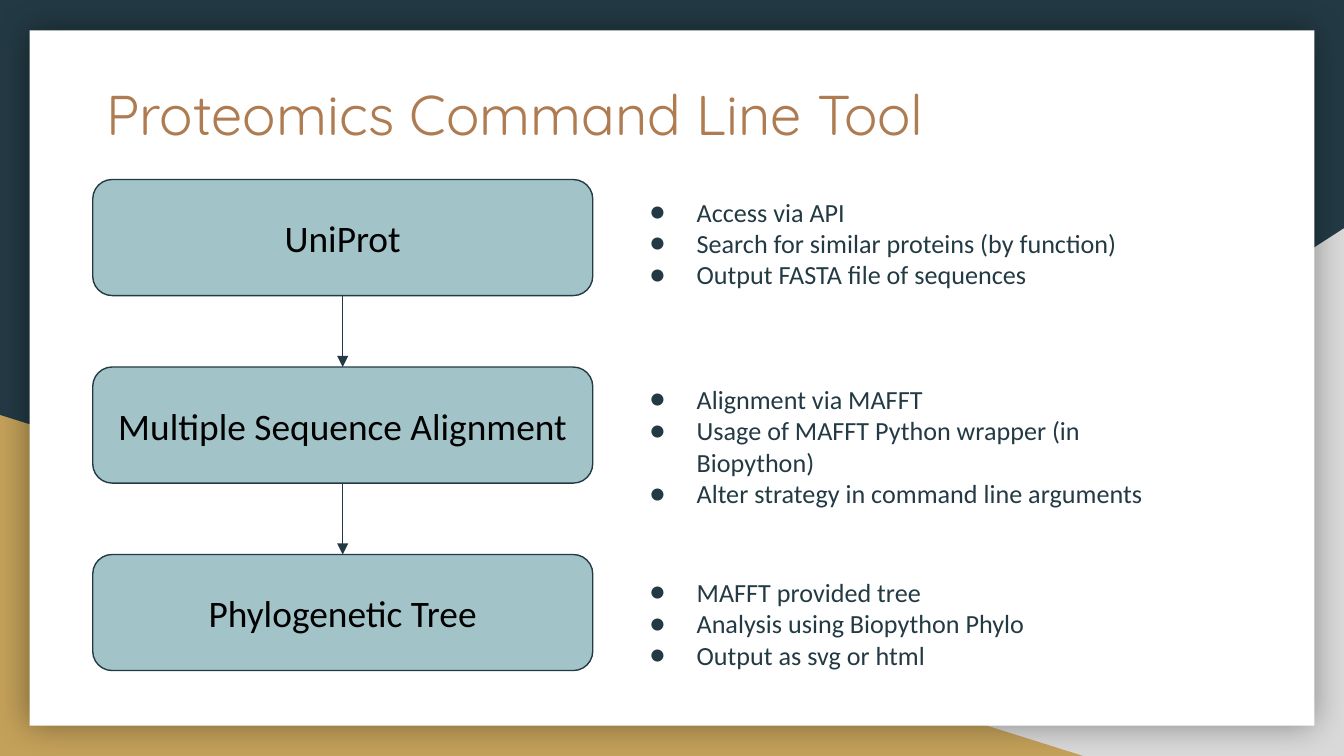
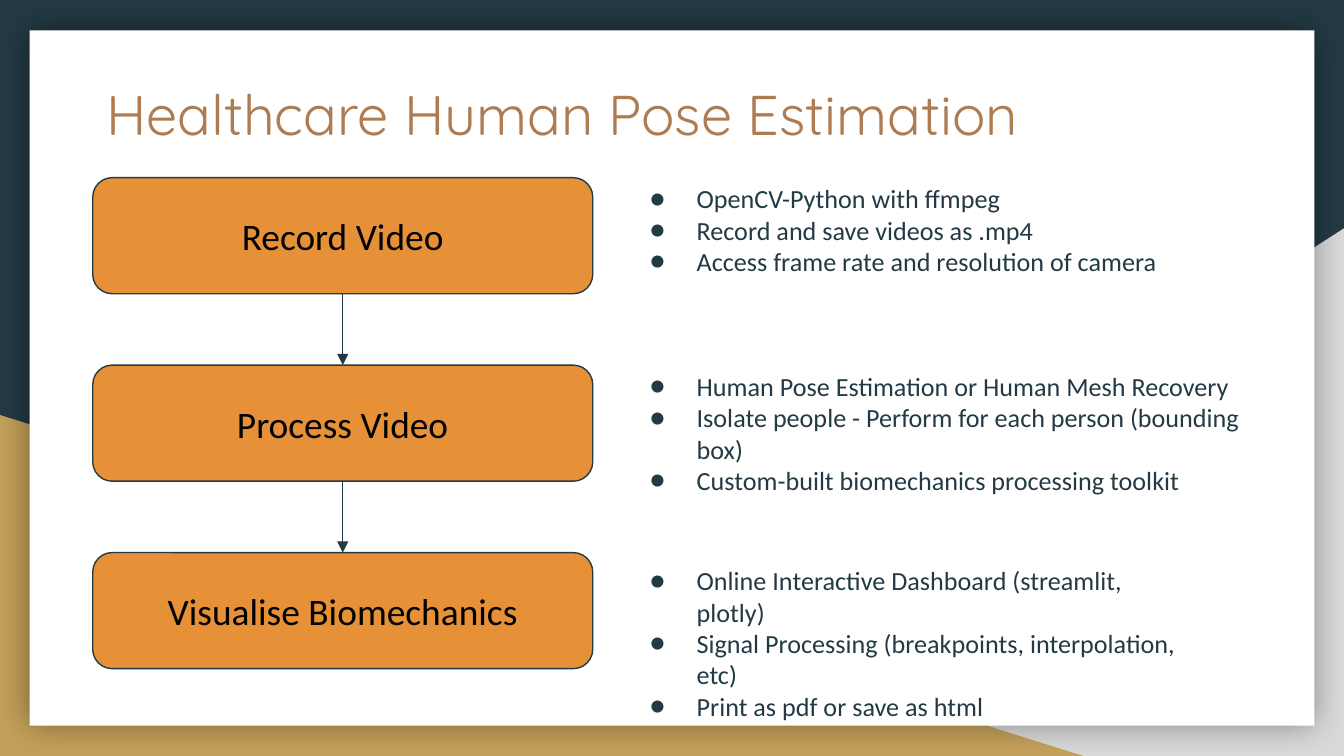
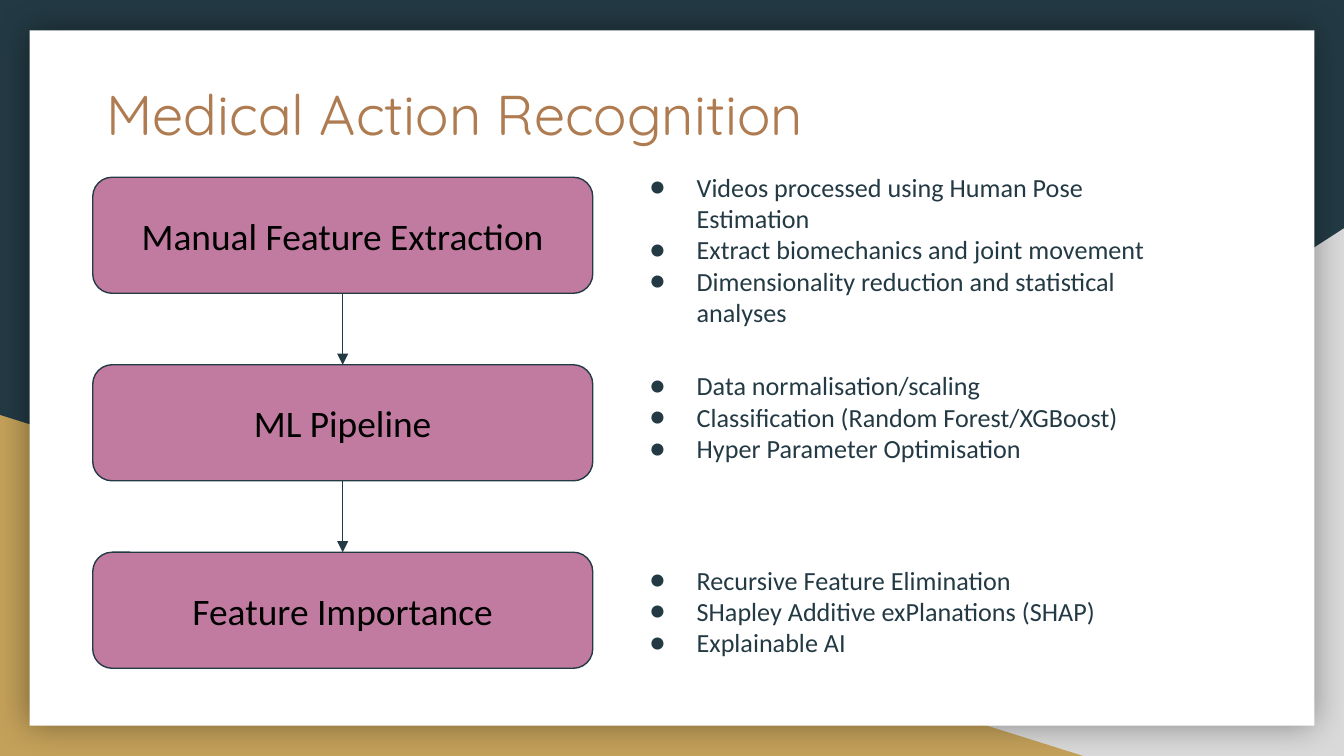
from lxml.etree import SubElement
from pptx import Presentation
from pptx.dml.color import RGBColor
from pptx.enum.shapes import MSO_CONNECTOR, MSO_SHAPE
from pptx.enum.text import MSO_ANCHOR, MSO_AUTO_SIZE, PP_ALIGN
from pptx.oxml.ns import qn
from pptx.util import Inches, Pt

WIDTH, HEIGHT = Inches(10), Inches(5.625)
COLORS = {
    "ink": "233A44", "gold": "C4A15A", "grey": "D9D9D9", "paper": "FFFFFF",
    "title": "AF7B51", "label": "000000",
    "teal": "A2C4C9", "orange": "E69138", "mauve": "C27BA0",
}
BODY_FONT, TITLE_FONT = "Calibri", "Quicksand"
BOX_LEFT, BOX_WIDTH, BOX_HEIGHT = 6.9, 37.2, 15.35
STEP_PITCH, NOTE_LEFT = 24.8, 45.85

FLOWS = [
    ("Proteomics Command Line Tool", "teal", 23.75, [
        ("UniProt", 0.4, 42.9, [
            "Access via API",
            "Search for similar proteins (by function)",
            "Output FASTA file of sequences"]),
        ("Multiple Sequence Alignment", 0.4, 42.9, [
            "Alignment via MAFFT",
            "Usage of MAFFT Python wrapper (in Biopython)",
            "Alter strategy in command line arguments"]),
        ("Phylogenetic Tree", 1.1, 42.9, [
            "MAFFT provided tree",
            "Analysis using Biopython Phylo",
            "Output as svg or html"])]),
    ("Healthcare Human Pose Estimation", "orange", 23.5, [
        ("Record Video", -1.1, 42.9, [
            "OpenCV-Python with ffmpeg",
            "Record and save videos as .mp4",
            "Access frame rate and resolution of camera"]),
        ("Process Video", -1.1, 49.5, [
            "Human Pose Estimation or Human Mesh Recovery",
            "Isolate people - Perform for each person (bounding box)",
            "Custom-built biomechanics processing toolkit"]),
        ("Visualise Biomechanics", -0.2, 44.1, [
            "Online Interactive Dashboard (streamlit, plotly)",
            "Signal Processing (breakpoints, interpolation, etc)",
            "Print as pdf or save as html"])]),
    ("Medical Action Recognition", "mauve", 23.45, [
        ("Manual Feature Extraction", -2.6, 42.9, [
            "Videos processed using Human Pose Estimation",
            "Extract biomechanics and joint movement",
            "Dimensionality reduction and statistical analyses"]),
        ("ML Pipeline", -1.1, 49.5, [
            "Data normalisation/scaling",
            "Classification (Random Forest/XGBoost)",
            "Hyper Parameter Optimisation"]),
        ("Feature Importance", -0.2, 44.1, [
            "Recursive Feature Elimination",
            "SHapley Additive exPlanations (SHAP)",
            "Explainable AI"])]),
]


def rgb(name):
    """Return a palette colour."""
    return RGBColor.from_string(COLORS[name])


def area(left, top, width, height):
    """Turn percentages of the slide into a position and size."""
    return (int(WIDTH * left / 100), int(HEIGHT * top / 100),
            int(WIDTH * width / 100), int(HEIGHT * height / 100))


def style(paragraph, font_name, size, color):
    """Set the font of a paragraph."""
    font = paragraph.font
    font.name, font.size = font_name, Pt(size)
    font.color.rgb = rgb(color)


def prepare_frame(frame, anchor=MSO_ANCHOR.TOP):
    """Give a text frame wrapping, anchor and even insets."""
    frame.word_wrap = True
    frame.auto_size = MSO_AUTO_SIZE.NONE
    frame.vertical_anchor = anchor
    frame.margin_left = frame.margin_right = Inches(0.1)
    frame.margin_top = frame.margin_bottom = Inches(0.1)


def add_filled(slide, kind, bounds, color):
    """Add a plain preset shape without line or shadow."""
    shape = slide.shapes.add_shape(kind, *bounds)
    shape.shadow.inherit = False
    shape.fill.solid()
    shape.fill.fore_color.rgb = rgb(color)
    shape.line.fill.background()
    return shape


def add_glow(shape):
    """Surround a shape with a soft dark shadow."""
    effects = shape.element.spPr.find(qn("a:effectLst"))
    shadow = SubElement(effects, qn("a:outerShdw"), blurRad=str(Pt(18)),
                        dist="0", dir="0", algn="ctr", rotWithShape="0")
    shade = SubElement(shadow, qn("a:srgbClr"), val="000000")
    SubElement(shade, qn("a:alpha"), val="40000")


def move_backdrop(slide, layout):
    """Build the shared backdrop and place it behind the layout's content."""
    layout.background.fill.solid()
    layout.background.fill.fore_color.rgb = rgb("ink")
    right_hill = add_filled(slide, MSO_SHAPE.RIGHT_TRIANGLE,
                            area(39.2, 30.2, 60.8, 69.8), "grey")
    right_hill.element.spPr.find(qn("a:xfrm")).set("flipH", "1")
    left_hill = add_filled(slide, MSO_SHAPE.RIGHT_TRIANGLE,
                           area(0, 54.9, 80.6, 45.1), "gold")
    sheet = add_filled(slide, MSO_SHAPE.RECTANGLE,
                       area(2.2, 4, 95.6, 92), "paper")
    add_glow(sheet)
    for depth, part in enumerate((right_hill, left_hill, sheet)):
        part.element.find(".//" + qn("p:cNvPr")).set("id", str(100 + depth))
        layout.shapes.element.insert(2 + depth, part.element)


def set_title(slide, text):
    """Place and format the slide title."""
    title = slide.shapes.title
    title.left, title.top, title.width, title.height = area(6.9, 8.7, 82.1, 18.5)
    prepare_frame(title.text_frame)
    heading = title.text_frame.paragraphs[0]
    heading.text = text
    heading.alignment = PP_ALIGN.LEFT
    style(heading, TITLE_FONT, 30, "title")


def add_step(slide, label, top, color):
    """Add one rounded step of the flow."""
    step = add_filled(slide, MSO_SHAPE.ROUNDED_RECTANGLE,
                      area(BOX_LEFT, top, BOX_WIDTH, BOX_HEIGHT), color)
    step.line.color.rgb = rgb("ink")
    step.line.width = Pt(0.75)
    prepare_frame(step.text_frame, MSO_ANCHOR.MIDDLE)
    caption = step.text_frame.paragraphs[0]
    caption.text = label
    caption.alignment = PP_ALIGN.CENTER
    style(caption, BODY_FONT, 20, "label")
    return step


def add_arrow(slide, upper, lower):
    """Join two steps with a downward arrow."""
    arrow = slide.shapes.add_connector(MSO_CONNECTOR.STRAIGHT, 0, 0, 0, 0)
    arrow.begin_connect(upper, 2)
    arrow.end_connect(lower, 0)
    arrow.line.color.rgb = rgb("ink")
    arrow.line.width = Pt(0.75)
    properties = arrow.element.spPr
    SubElement(properties.find(qn("a:ln")), qn("a:tailEnd"), type="triangle")
    SubElement(properties, qn("a:effectLst"))


def add_notes_list(slide, points, top, width):
    """Add the bulleted points beside a step."""
    frame = slide.shapes.add_textbox(*area(NOTE_LEFT, top, width, 14)).text_frame
    prepare_frame(frame)
    for index, point in enumerate(points):
        line = frame.add_paragraph() if index else frame.paragraphs[0]
        line.text = point
        properties = line._p.get_or_add_pPr()
        properties.set("marL", str(Inches(0.5)))
        properties.set("indent", str(-Inches(0.35)))
        tint = SubElement(properties, qn("a:buClr"))
        SubElement(tint, qn("a:srgbClr"), val=COLORS["ink"])
        SubElement(properties, qn("a:buFont"), typeface=BODY_FONT)
        SubElement(properties, qn("a:buChar"), char="●")
        style(line, BODY_FONT, 14, "ink")


def add_flow(slide, color, first_top, steps):
    """Add the steps, their arrows and their points."""
    previous = None
    for row, (label, shift, width, points) in enumerate(steps):
        top = first_top + row * STEP_PITCH
        step = add_step(slide, label, top, color)
        if previous is not None:
            add_arrow(slide, previous, step)
        add_notes_list(slide, points, top + shift, width)
        previous = step


def main():
    """Build and save the presentation."""
    deck = Presentation()
    deck.slide_width, deck.slide_height = WIDTH, HEIGHT
    layout = deck.slide_layouts[5]
    for number, (title, color, first_top, steps) in enumerate(FLOWS):
        slide = deck.slides.add_slide(layout)
        if number == 0:
            move_backdrop(slide, layout)
        set_title(slide, title)
        add_flow(slide, color, first_top, steps)
    deck.save("out.pptx")


if __name__ == "__main__":
    main()
